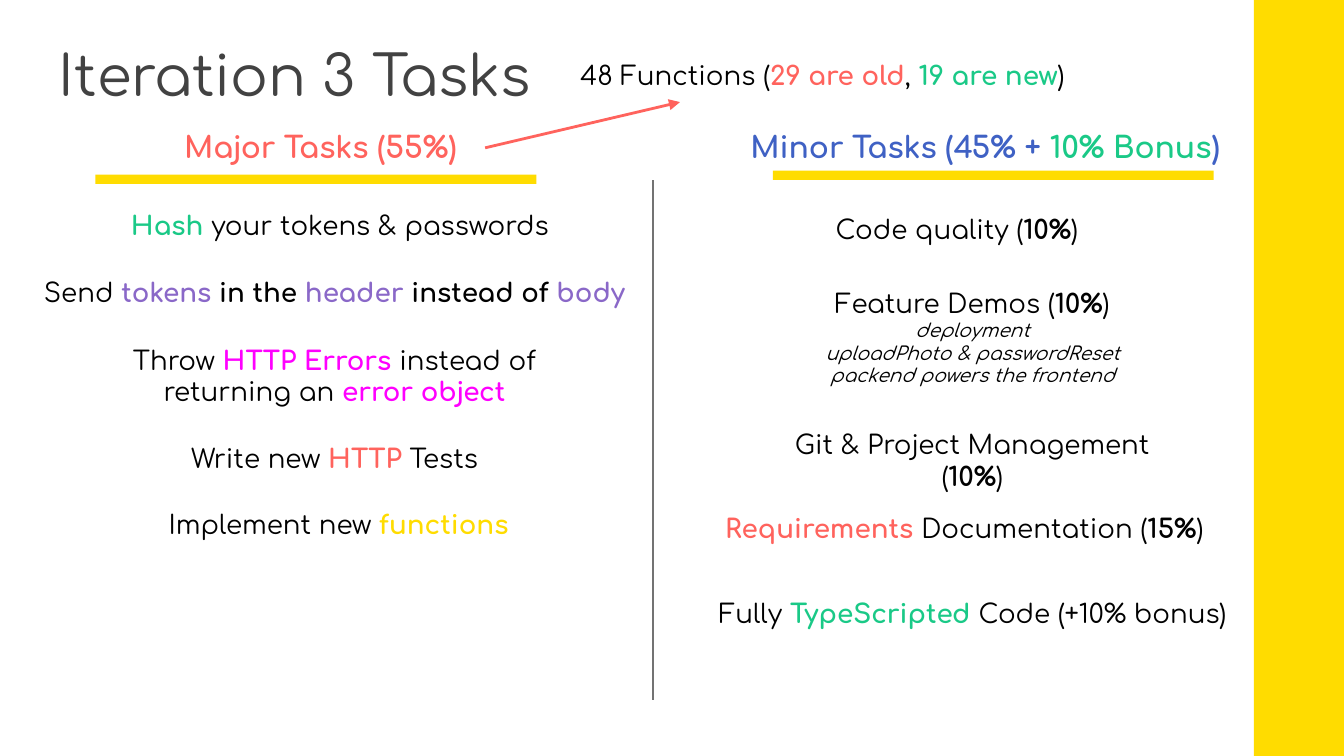
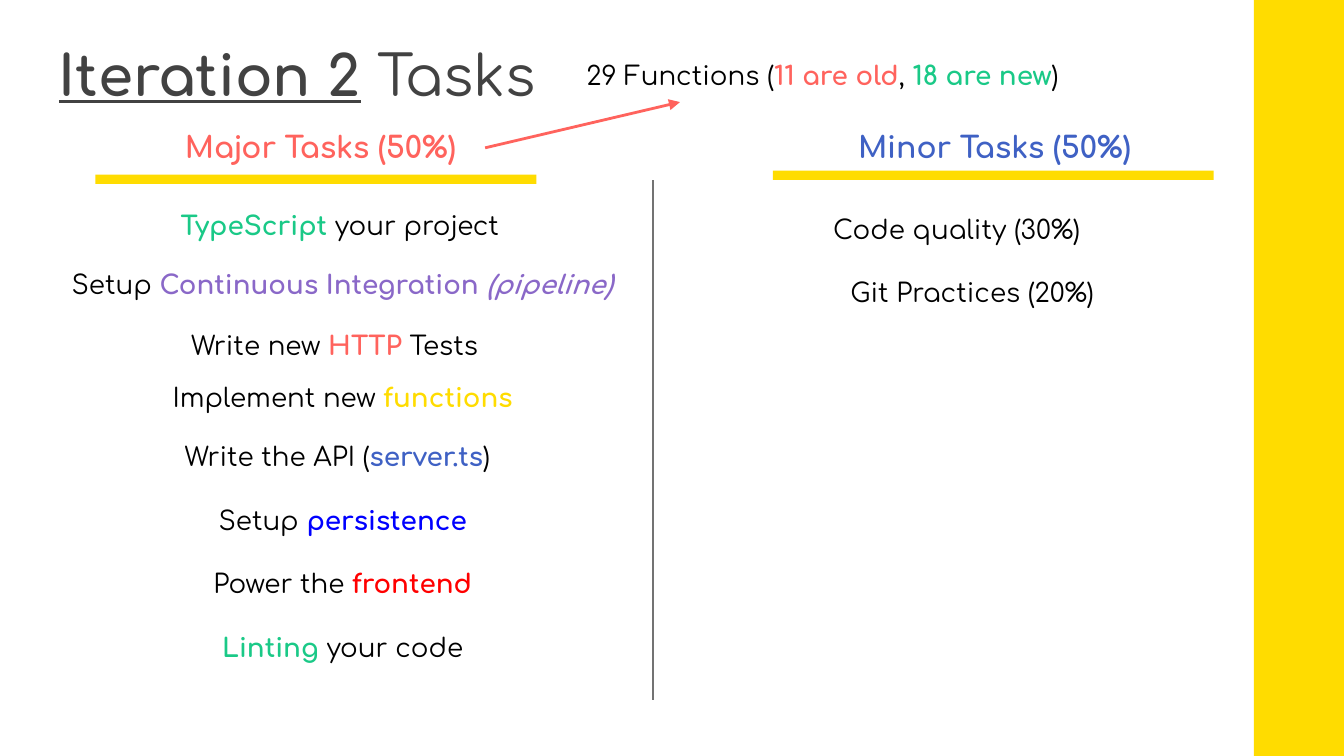
"""Build two course slides that list the major and minor tasks of an iteration."""
from lxml import etree
from pptx import Presentation
from pptx import util as u
from pptx.dml.color import RGBColor
from pptx.enum import shapes, text
from pptx.oxml.ns import qn

COLORS = {
    "yellow": "FFDC00", "title": "424242", "divider": "737373", "black": "000000",
    "coral": "FF635D", "indigo": "3F61C4", "green": "1AC987", "purple": "8A68C8",
    "magenta": "FF00FF", "blue": "0000FF", "red": "FF0000",
}
FONT = "Comfortaa"
LEFT_X, LEFT_W = 33.8, 290.9
RIGHT_X, RIGHT_W = 400.3, 241.2
ROW_H = 31.7


def add_text(slide, paragraphs, left, top, width, height=ROW_H, size=14, color="black",
             align=text.PP_ALIGN.CENTER, anchor=text.MSO_ANCHOR.TOP, small=10):
    """Write paragraphs of (words, colour, style) runs; style letters are b, i, u and s for small."""
    frame = slide.shapes.add_textbox(u.Pt(left), u.Pt(top), u.Pt(width), u.Pt(height)).text_frame
    frame.word_wrap = True
    frame.vertical_anchor = anchor
    frame.margin_left = frame.margin_right = frame.margin_top = frame.margin_bottom = u.Pt(7.2)
    for index, runs in enumerate(paragraphs):
        paragraph = frame.paragraphs[0] if index == 0 else frame.add_paragraph()
        paragraph.alignment = align
        for words, run_color, style in runs:
            run = paragraph.add_run()
            run.text = words
            run.font.name = FONT
            run.font.size = u.Pt(small if "s" in style else size)
            run.font.bold = "b" in style
            run.font.italic = "i" in style
            run.font.underline = "u" in style
            run.font.color.rgb = RGBColor.from_string(COLORS[run_color or color])


def add_line(slide, start, end, color, width, arrow=False):
    """Draw a straight line, with an arrowhead at its end on request."""
    line = slide.shapes.add_connector(
        shapes.MSO_CONNECTOR.STRAIGHT, *[u.Pt(value) for value in (*start, *end)])
    line.line.color.rgb = RGBColor.from_string(COLORS[color])
    line.line.width = u.Pt(width)
    if arrow:
        etree.SubElement(line.line._get_or_add_ln(), qn("a:tailEnd"), type="triangle")
    etree.SubElement(line._element.spPr, qn("a:effectLst"))


write_tests = [("Write new ", "", ""), ("HTTP ", "coral", "b"), ("Tests", "", "")]
new_functions = [("Implement new ", "", ""), ("functions", "yellow", "b")]

iterations = [
    {
        "title": [("Iteration 3 Tasks", "", "")],
        "major": "Major Tasks (55%)",
        "minor": [("Minor Tasks (45% + ", "", "b"), ("10% Bonus", "green", "b"), (")", "", "b")],
        "minor_box": (375.1, 305.3),
        "functions": ("48", "29 are old", "19 are new"),
        "tasks": [
            ([[("Hash ", "green", "b"), ("your tokens & passwords", "", "")]],
             36.7, 105.1, LEFT_W),
            ([[("Send ", "", ""), ("tokens ", "purple", "b"), ("in the", "", "b"),
               (" header ", "purple", "b"), ("instead of", "", "b"), (" body", "purple", "b")]],
             5, 141.1, 348.5),
            ([[("Throw ", "", ""), ("HTTP Errors", "magenta", "b"),
               (" instead of returning an ", "", ""), ("error object", "magenta", "b")]],
             LEFT_X, 177.1, LEFT_W, 48.2),
            ([write_tests], LEFT_X, 229.7, LEFT_W),
            ([new_functions], 36, 265, LEFT_W),
            ([[("Code quality (", "", ""), ("10%", "", "b"), (")", "", "")]],
             349.9, 107.3, 325.4),
            ([[("Feature Demos (", "", ""), ("10%", "", "b"), (")", "", "")],
              [("deployment", "", "is")],
              [("uploadPhoto & passwordReset", "", "is")],
              [("packend powers the frontend", "", "is")]],
             RIGHT_X, 146.9, RIGHT_W, 67.7),
            ([[("Git & Project Management (", "", ""), ("10%", "", "b"), (")", "", "")]],
             RIGHT_X, 222.5, RIGHT_W, 43.9),
            ([[("Requirements ", "coral", "b"), ("Documentation (", "", ""),
               ("15%", "", "b"), (")", "", "")]],
             378.7, 267.1, 275.8, 43.9),
            ([[("Fully ", "", ""), ("TypeScripted ", "green", "b"), ("Code (+10% bonus)", "", "")]],
             372.2, 312.9, 298.1, 43.9),
        ],
    },
    {
        "title": [("Iteration 2", "", "bu"), (" Tasks", "", "")],
        "major": "Major Tasks (50%)",
        "minor": [("Minor Tasks (50%)", "", "b")],
        "minor_box": (439.9, 185.8),
        "functions": ("29", "11 are old", "18 are new"),
        "tasks": [
            ([[("TypeScript ", "green", "b"), ("your project", "", "")]], 36.7, 105.1, LEFT_W),
            ([[("Setup ", "", ""), ("Continuous Integration ", "purple", "b"),
               ("(pipeline)", "purple", "bi")]],
             22.3, 136.8, 321.8),
            ([write_tests], LEFT_X, 169.2, LEFT_W),
            ([new_functions], 38.2, 197.3, LEFT_W),
            ([[("Write the API (", "", ""), ("server.ts", "indigo", "b"), (")", "", "")]],
             35.3, 229, LEFT_W),
            ([[("Setup ", "", ""), ("persistence", "blue", "b")]], 38.2, 262.8, LEFT_W),
            ([[("Power the ", "", ""), ("frontend", "red", "b")]], 38.2, 296.9, LEFT_W),
            ([[("Linting ", "green", "b"), ("your code", "", "")]], 38.2, 331.2, LEFT_W),
            ([[("Code quality (30%)", "", "")]], 349.9, 107.3, 325.4),
            ([[("Git Practices (20%)", "", "")]], RIGHT_X, 141.1, RIGHT_W),
        ],
    },
]

deck = Presentation()
deck.slide_width, deck.slide_height = u.Pt(720), u.Pt(405)

for iteration in iterations:
    slide = deck.slides.add_slide(deck.slide_layouts[6])

    side_band = (671.8, 0, 48.2, 405)
    major_rule = (51.1, 93.6, 236.2, 5)
    minor_rule = (414, 91.4, 236.2, 5)
    for box in (side_band, major_rule, minor_rule):
        bar = slide.shapes.add_shape(shapes.MSO_SHAPE.RECTANGLE, *[u.Pt(value) for value in box])
        bar.shadow.inherit = False
        bar.fill.solid()
        bar.fill.fore_color.rgb = RGBColor.from_string(COLORS["yellow"])
        bar.line.fill.background()

    add_text(slide, [iteration["title"]], 24.5, 7.2, 671, 57.6, size=30, color="title",
             align=text.PP_ALIGN.LEFT, anchor=text.MSO_ANCHOR.BOTTOM)
    add_text(slide, [[(iteration["major"], "", "b")]], LEFT_X, 61.9, 275.8, 33.8,
             size=16, color="coral")
    minor_left, minor_width = iteration["minor_box"]
    add_text(slide, [iteration["minor"]], minor_left, 61.9, minor_width, 33.8,
             size=16, color="indigo")

    total, old, new = iteration["functions"]
    add_text(slide, [[(f"{total} Functions (", "", ""), (old, "coral", "b"), (", ", "", ""),
                      (new, "green", "b"), (")", "", "")]], 295.2, 24.5, LEFT_W)

    for task in iteration["tasks"]:
        add_text(slide, *task)

    add_line(slide, (349.9, 96.5), (349.9, 375.1), "divider", 0.75)
    add_line(slide, (259.9, 79.2), (364.3, 54.7), "coral", 1.5, arrow=True)

deck.save("out.pptx")
